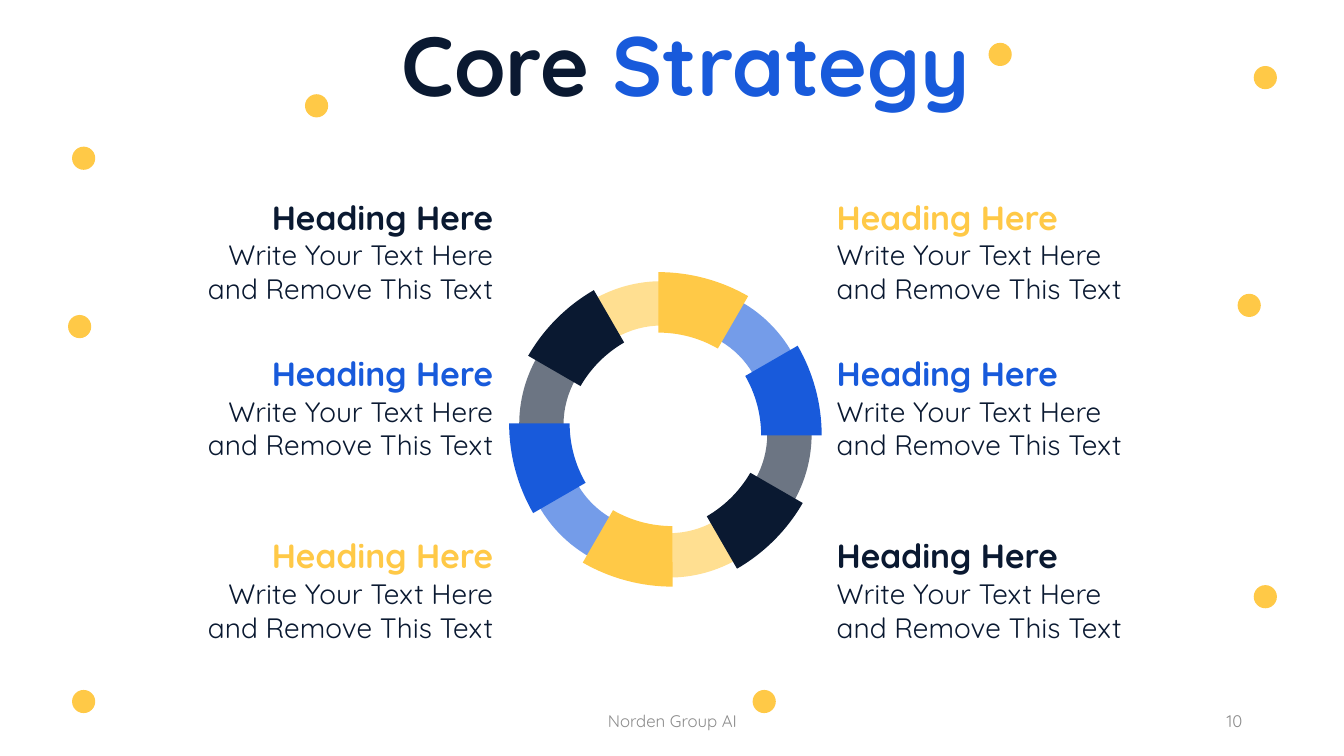
from math import cos, radians, sin, tan

from lxml import etree
from pptx import Presentation
from pptx.dml.color import RGBColor
from pptx.enum.shapes import MSO_SHAPE
from pptx.enum.text import MSO_ANCHOR, MSO_AUTO_SIZE, PP_ALIGN
from pptx.oxml.ns import qn
from pptx.util import Inches, Pt

LEFT, CENTER, RIGHT = PP_ALIGN.LEFT, PP_ALIGN.CENTER, PP_ALIGN.RIGHT
TOP, MIDDLE = MSO_ANCHOR.TOP, MSO_ANCHOR.MIDDLE
OVAL = MSO_SHAPE.OVAL
NO_FIT = MSO_AUTO_SIZE.NONE

NAVY, BLUE, GOLD = "0A1931", "185ADB", "FFC947"
SLATE, SKY, CREAM, GRAY = "6C7583", "749CE9", "FFDF91", "8C8C8C"

DOTS = [
    (3.14, 1.05), (0.83, 1.57), (0.79, 3.24), (9.92, 0.54), (12.39, 3.03),
    (12.55, 0.77), (7.58, 6.96), (0.83, 6.96), (12.55, 5.92),
]
DOT = 0.23
STEP = 30
BEND = 4 / 3 * tan(radians(STEP / 4))
MID = (6.6, 4.26)
PALE, BOLD = (1.34, 0.9), (1.78, 1.18)
ARCS = [
    (180, 6.49, 4.21, PALE, SLATE),
    (240, 6.56, 4.13, PALE, CREAM),
    (300, 6.69, 4.16, PALE, SKY),
    (210, 6.78, 4.42, BOLD, NAVY),
    (270, 6.53, 4.48, BOLD, GOLD),
    (330, 6.37, 4.32, BOLD, BLUE),
]
ROWS = [(1.9, NAVY, GOLD), (3.45, BLUE, BLUE), (5.26, GOLD, NAVY)]


def color(code):
    return RGBColor.from_string(code)


class Deck:
    font = "Quicksand"

    def __init__(self):
        self.show = Presentation()
        self.show.slide_width = Inches(13.33)
        self.show.slide_height = Inches(7.5)
        self.slide = self.show.slides.add_slide(self.show.slide_layouts[5])
        self.shapes = self.slide.shapes

    def paint(self, shape, fill):
        shape.shadow.inherit = False
        shape.fill.solid()
        shape.fill.fore_color.rgb = color(fill)
        shape.line.fill.background()

    def dot(self, x, y):
        side = Inches(DOT)
        shape = self.shapes.add_shape(
            OVAL, Inches(x - DOT / 2), Inches(y - DOT / 2), side, side)
        self.paint(shape, GOLD)

    def curve(self, line, points):
        bend = etree.Element(qn("a:cubicBezTo"))
        for x, y in points:
            etree.SubElement(bend, qn("a:pt"), x=str(x), y=str(y))
        line.getparent().replace(line, bend)

    def arc(self, group, start, x, y, radii, fill):
        outer, inner = radii
        end = start + STEP

        def spot(r, turn, pull=0):
            a = radians(turn)
            return (Inches(x + r * (cos(a) - pull * sin(a))),
                    Inches(y + r * (sin(a) + pull * cos(a))))

        pen = group.shapes.build_freeform(*spot(outer, start))
        pen.add_line_segments(
            [spot(outer, end), spot(inner, end), spot(inner, start)],
            close=True)
        shape = pen.convert_to_shape()
        rim, _, bore = shape.element.findall(".//" + qn("a:lnTo"))[:3]
        near, far = min(start, end), max(start, end)
        for line, r, a, b, pull in ((rim, outer, near, far, BEND),
                                    (bore, inner, far, near, -BEND)):
            points = spot(r, a, pull), spot(r, b, -pull), spot(r, b)
            self.curve(line, [(px - shape.left, py - shape.top)
                              for px, py in points])
        self.paint(shape, fill)

    def ring(self):
        group = self.shapes.add_group_shape()
        for start, x, y, radii, fill in ARCS:
            self.arc(group, start, x, y, radii, fill)
            self.arc(group, start + 180, 2 * MID[0] - x, 2 * MID[1] - y,
                     radii, fill)

    def style(self, para, size, align, bold=False):
        para.alignment = align
        para.font.name = self.font
        para.font.size = Pt(size)
        para.font.bold = bold

    def text(self, words, box, size, fill, align=LEFT, bold=False,
             wrap=True, anchor=TOP):
        shape = self.shapes.add_textbox(*map(Inches, box))
        frame = shape.text_frame
        frame.word_wrap = wrap
        frame.vertical_anchor = anchor
        para = frame.paragraphs[0]
        para.text = words
        self.style(para, size, align, bold)
        para.font.color.rgb = color(fill)

    def title(self, parts, box):
        shape = self.shapes.title
        shape.left, shape.top, shape.width, shape.height = map(Inches, box)
        frame = shape.text_frame
        frame.auto_size = NO_FIT
        frame.word_wrap = False
        frame.vertical_anchor = TOP
        para = frame.paragraphs[0]
        self.style(para, 60, CENTER, True)
        for words, fill in parts:
            run = para.add_run()
            run.text = words
            run.font.color.rgb = color(fill)

    def block(self, edge, top, fill, align):
        head, body = 2.46, 3.3
        back = 1 if align == RIGHT else 0
        self.text("Write Your Text Here and Remove This Text",
                  (edge - back * body, top + 0.41, body, 0.77),
                  20, NAVY, align)
        self.text("Heading Here", (edge - back * head, top, head, 0.5),
                  24, fill, align, bold=True, wrap=False)


def main():
    deck = Deck()
    deck.title([("Core", NAVY), (" Strategy", BLUE)], (3.82, 0.07, 5.96, 1.11))
    for x, y in DOTS:
        deck.dot(x, y)
    deck.ring()
    for top, left, right in ROWS:
        deck.block(4.99, top, left, RIGHT)
        deck.block(8.2, top, right, LEFT)
    deck.text("Norden Group AI", (4.42, 6.95, 4.5, 0.4), 12, GRAY, CENTER,
              anchor=MIDDLE)
    deck.text("10", (9.42, 6.95, 3, 0.4), 12, GRAY, RIGHT, anchor=MIDDLE)
    deck.show.save("out.pptx")


if __name__ == "__main__":
    main()
